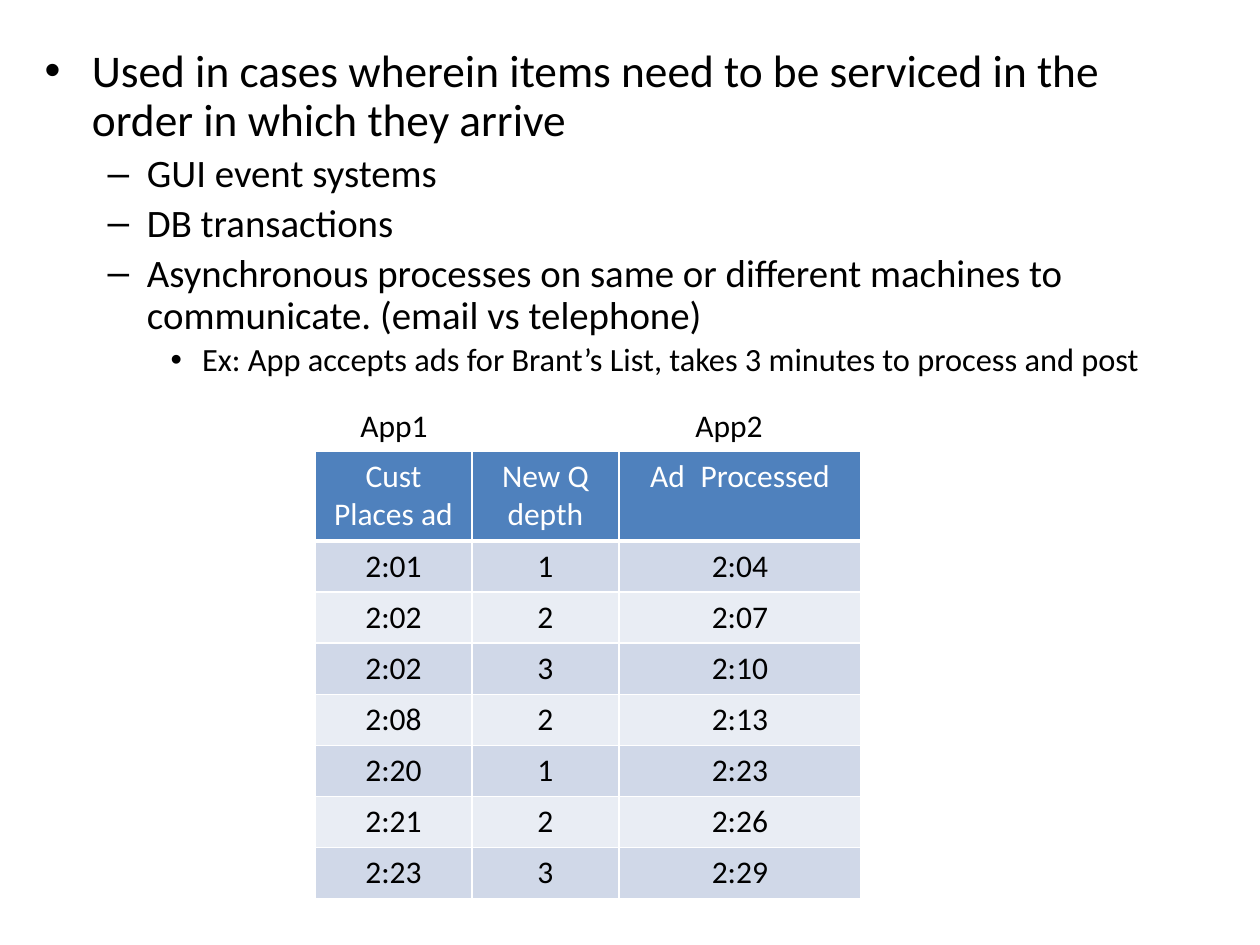
from lxml.etree import SubElement
from pptx import Presentation
from pptx.dml.color import RGBColor
from pptx.enum.text import MSO_AUTO_SIZE as AutoSize, PP_ALIGN as Align
from pptx.oxml.ns import qn
from pptx.util import Emu, Pt

EMU_PER_PIXEL = 914400 / 126


def px(*lengths):
    return [Emu(round(length * EMU_PER_PIXEL)) for length in lengths]


def color(hex_value):
    return RGBColor.from_string(hex_value)


class SlideBuilder:
    font_name = "Calibri"
    black, white = "000000", "FFFFFF"
    header_fill = "4F81BD"
    band_fills = ("D0D8E8", "E9EDF4")
    level_sizes = (25.9, 22.2, 18.5)
    table_size = 18

    def __init__(self, presentation):
        self.slide = presentation.slides.add_slide(presentation.slide_layouts[1])
        title = self.slide.shapes.title.element
        title.getparent().remove(title)

    def style(self, paragraph, size, hex_value):
        paragraph.font.name = self.font_name
        paragraph.font.size = Pt(size)
        paragraph.font.color.rgb = color(hex_value)

    def bullets(self, box, items):
        body = self.slide.placeholders[1]
        body.left, body.top, body.width, body.height = px(*box)
        frame = body.text_frame
        frame.auto_size = AutoSize.NONE
        frame.text = "\n".join(text for level, text in items)
        for paragraph, (level, text) in zip(frame.paragraphs, items):
            paragraph.level = level
            paragraph.line_spacing = 0.9
            self.style(paragraph, self.level_sizes[level], self.black)

    def label(self, box, text):
        frame = self.slide.shapes.add_textbox(*px(*box)).text_frame
        frame.word_wrap = False
        frame.auto_size = AutoSize.SHAPE_TO_FIT_TEXT
        frame.text = text
        self.style(frame.paragraphs[0], self.table_size, self.black)

    def border(self, cell, side, points):
        line = SubElement(cell._tc.get_or_add_tcPr(), qn(f"a:{side}"), w=str(Pt(points)))
        fill = SubElement(line, qn("a:solidFill"))
        SubElement(fill, qn("a:srgbClr"), val=self.white)

    def cell(self, cell, text, is_header, fill):
        cell.text = text
        for paragraph in cell.text_frame.paragraphs:
            paragraph.alignment = Align.CENTER
            self.style(paragraph, self.table_size, self.white if is_header else self.black)
        for side in ("lnL", "lnR", "lnT", "lnB"):
            self.border(cell, side, 3 if is_header and side == "lnB" else 1)
        cell.fill.solid()
        cell.fill.fore_color.rgb = color(fill)

    def table(self, left, top, widths, heights, rows):
        box = px(left, top, sum(widths), sum(heights))
        table = self.slide.shapes.add_table(len(rows), len(widths), *box).table
        for column, width in zip(table.columns, px(*widths)):
            column.width = width
        for row, height in zip(table.rows, px(*heights)):
            row.height = height
        for row_index, values in enumerate(rows):
            is_header = row_index == 0
            fill = self.header_fill if is_header else self.band_fills[(row_index - 1) % 2]
            for column_index, text in enumerate(values):
                self.cell(table.cell(row_index, column_index), text, is_header, fill)


presentation = Presentation()
presentation.slide_width, presentation.slide_height = px(1260, 945)
builder = SlideBuilder(presentation)

builder.bullets((32, 42, 1155, 368), [
    (0, "Used in cases wherein items need to be serviced in the order in which they arrive"),
    (1, "GUI event systems"),
    (1, "DB transactions"),
    (1, "Asynchronous processes on same or different machines to communicate. (email vs telephone)"),
    (2, "Ex: App accepts ads for Brant’s List, takes 3 minutes to process and post"),
])

schedule = [
    ("Cust\nPlaces ad", "New Q depth", "Ad\u2002Processed"),
    ("2:01", "1", "2:04"),
    ("2:02", "2", "2:07"),
    ("2:02", "3", "2:10"),
    ("2:08", "2", "2:13"),
    ("2:20", "1", "2:23"),
    ("2:21", "2", "2:26"),
    ("2:23", "3", "2:29"),
]
builder.table(315, 451, (157, 147, 242), [90] + [51] * 7, schedule)

for left, text in ((348, "App1"), (683, "App2")):
    builder.label((left, 400, 93, 51), text)

presentation.save("out.pptx")
